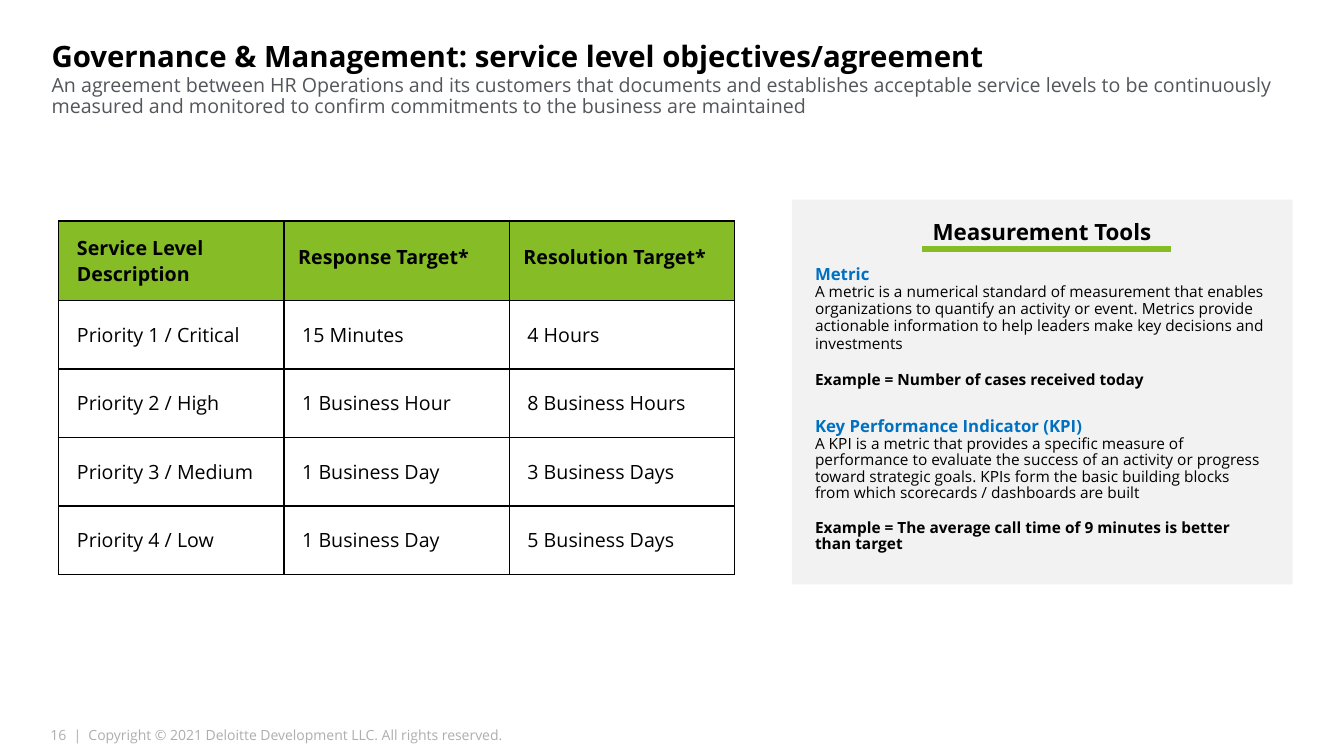
import pptx
import pptx.dml.color
import pptx.enum.shapes
import pptx.enum.text
import pptx.oxml
import pptx.oxml.ns
import pptx.util
from dataclasses import dataclass

Cm, Pt = pptx.util.Cm, pptx.util.Pt
ALIGN = pptx.enum.text.PP_ALIGN
ANCHOR = pptx.enum.text.MSO_ANCHOR


@dataclass(frozen=True)
class Theme:
    font: str = "Open Sans"
    black: str = "000000"
    gray: str = "53565A"
    pale: str = "AEAEAE"
    panel: str = "F2F2F2"
    green: str = "86BC25"
    blue: str = "0070C0"
    title: float = 21
    heading: float = 16
    body: float = 14
    term: float = 12
    note: float = 11
    footer: float = 10


def rgb(value):
    return pptx.dml.color.RGBColor.from_string(value)


class SlideBuilder:
    def __init__(self, slide, theme):
        self.s = slide
        self.theme = theme

    def fill_paragraph(self, p, text, size, color=None, bold=False, **formats):
        """Add one styled run; formats are paragraph attributes."""
        r = p.add_run()
        r.text = text
        font = {"name": self.theme.font, "size": Pt(size), "bold": bold}
        for name, value in font.items():
            setattr(r.font, name, value)
        r.font.color.rgb = rgb(color or self.theme.black)
        for name, value in formats.items():
            setattr(p, name, value)

    def text(self, box, paragraphs, inset=0.0, anchor=ANCHOR.TOP, wrap=True):
        """Add a text box; each paragraph is a dict for fill_paragraph."""
        tf = self.s.shapes.add_textbox(*map(Cm, box)).text_frame
        formats = {"word_wrap": wrap, "vertical_anchor": anchor}
        formats |= {f"margin_{side}": Cm(inset)
                    for side in ("left", "top", "right", "bottom")}
        for name, value in formats.items():
            setattr(tf, name, value)
        for i, paragraph in enumerate(paragraphs):
            p = tf.add_paragraph() if i else tf.paragraphs[0]
            self.fill_paragraph(p, **paragraph)

    def panel(self, box, fill):
        sp = self.s.shapes.add_shape(
            pptx.enum.shapes.MSO_SHAPE.RECTANGLE, *map(Cm, box))
        sp.shadow.inherit = False
        sp.fill.solid()
        sp.fill.fore_color.rgb = rgb(fill)
        sp.line.fill.background()

    def rule(self, x1, x2, y, color, width):
        line = self.s.shapes.add_connector(
            pptx.enum.shapes.MSO_CONNECTOR.STRAIGHT,
            Cm(x1), Cm(y), Cm(x2), Cm(y))
        line.line.color.rgb = rgb(color)
        line.line.width = Pt(width)
        line._element.spPr.append(pptx.oxml.parse_xml(
            f'<a:effectLst {pptx.oxml.ns.nsdecls("a")}/>'))

    def border(self, cell):
        tc_pr = cell._tc.get_or_add_tcPr()
        for i, side in enumerate("LRTB"):
            tc_pr.insert(i, pptx.oxml.parse_xml(
                f'<a:ln{side} {pptx.oxml.ns.nsdecls("a")} w="{Pt(1)}">'
                f'<a:solidFill><a:srgbClr val="{self.theme.black}"/>'
                f'</a:solidFill></a:ln{side}>'))

    def table(self, box, rows, header_height):
        t = self.theme
        left, top, width, height = box
        table = self.s.shapes.add_table(
            len(rows), len(rows[0]), *map(Cm, box)).table
        for col in table.columns:
            col.width = Cm(width / len(rows[0]))
        row_height = (height - header_height) / (len(rows) - 1)
        for i, row in enumerate(rows):
            table.rows[i].height = Cm(row_height if i else header_height)
            for j, text in enumerate(row):
                cell = table.cell(i, j)
                target = i == 0 and j > 0
                side, edge = (0.36, 0) if target else (0.46, 0.23)
                formats = {"margin_left": Cm(side), "margin_right": Cm(side),
                           "margin_top": Cm(edge), "margin_bottom": Cm(edge),
                           "vertical_anchor": ANCHOR.MIDDLE}
                for name, value in formats.items():
                    setattr(cell, name, value)
                if i:
                    cell.fill.background()
                else:
                    cell.fill.solid()
                    cell.fill.fore_color.rgb = rgb(t.green)
                self.border(cell)
                spacing = {"line_spacing": Pt(14)} if target else {}
                self.fill_paragraph(cell.text_frame.paragraphs[0], text,
                                    t.body, bold=i == 0, **spacing)

    def definition(self, top, height, term, meaning, example, spacing, gap):
        t = self.theme
        self.text((20.29, top, 11.94, height), [
            dict(text=term, size=t.term, color=t.blue, bold=True,
                 line_spacing=spacing),
            dict(text=meaning, size=t.note, line_spacing=spacing),
            dict(text=example, size=t.note, bold=True, line_spacing=spacing,
                 space_before=Pt(gap)),
        ], inset=0.25, anchor=ANCHOR.MIDDLE)


SERVICE_LEVELS = [
    ("Service Level Description", "Response Target*", "Resolution Target*"),
    ("Priority 1 / Critical", "15 Minutes", "4 Hours"),
    ("Priority 2 / High", "1 Business Hour", "8 Business Hours"),
    ("Priority 3 / Medium", "1 Business Day", "3 Business Days"),
    ("Priority 4 / Low", "1 Business Day", "5 Business Days"),
]


def main():
    prs = pptx.Presentation()
    prs.slide_width, prs.slide_height = Cm(33.87), Cm(19.05)
    t = Theme()
    b = SlideBuilder(prs.slides.add_slide(prs.slide_layouts[6]), t)

    b.text((1.27, 18.31, 11.61, 0.43), [dict(
        text="16  |  Copyright © 2021 Deloitte Development LLC. "
             "All rights reserved.", size=t.footer, color=t.pale)], wrap=False)
    b.panel((19.96, 5.03, 12.62, 9.7), t.panel)
    b.text((1.3, 0.97, 31.32, 0.94), [dict(
        text="Governance & Management: service level objectives/agreement",
        size=t.title, bold=True)])
    b.text((1.3, 1.91, 31.32, 1.32), [dict(
        text="An agreement between HR Operations and its customers that "
             "documents and establishes acceptable service levels to be "
             "continuously measured and monitored to confirm commitments to "
             "the business are maintained",
        size=t.body, color=t.gray, line_spacing=0.9)])
    b.table((1.48, 5.57, 17.03, 8.91), SERVICE_LEVELS, header_height=2)

    b.text((20.29, 5.36, 11.94, 0.94), [dict(
        text="Measurement Tools", size=t.heading, bold=True,
        alignment=ALIGN.CENTER)], inset=0.25, anchor=ANCHOR.MIDDLE)
    b.definition(
        6.48, 3.53, "Metric",
        "A metric is a numerical standard of measurement that enables "
        "organizations to quantify an activity or event. Metrics provide "
        "actionable information to help leaders make key decisions and "
        "investments",
        "Example = Number of cases received today", spacing=0.93, gap=14)
    b.definition(
        10.08, 4.32, "Key Performance Indicator (KPI)",
        "A KPI is a metric that provides a specific measure of performance "
        "to evaluate the success of an activity or progress toward strategic "
        "goals. KPIs form the basic building blocks from which scorecards / "
        "dashboards are built",
        "Example = The average call time of 9 minutes is better than target",
        spacing=0.89, gap=13)
    b.rule(23.24, 29.51, 6.27, t.green, 4)

    prs.save("out.pptx")


if __name__ == "__main__":
    main()
